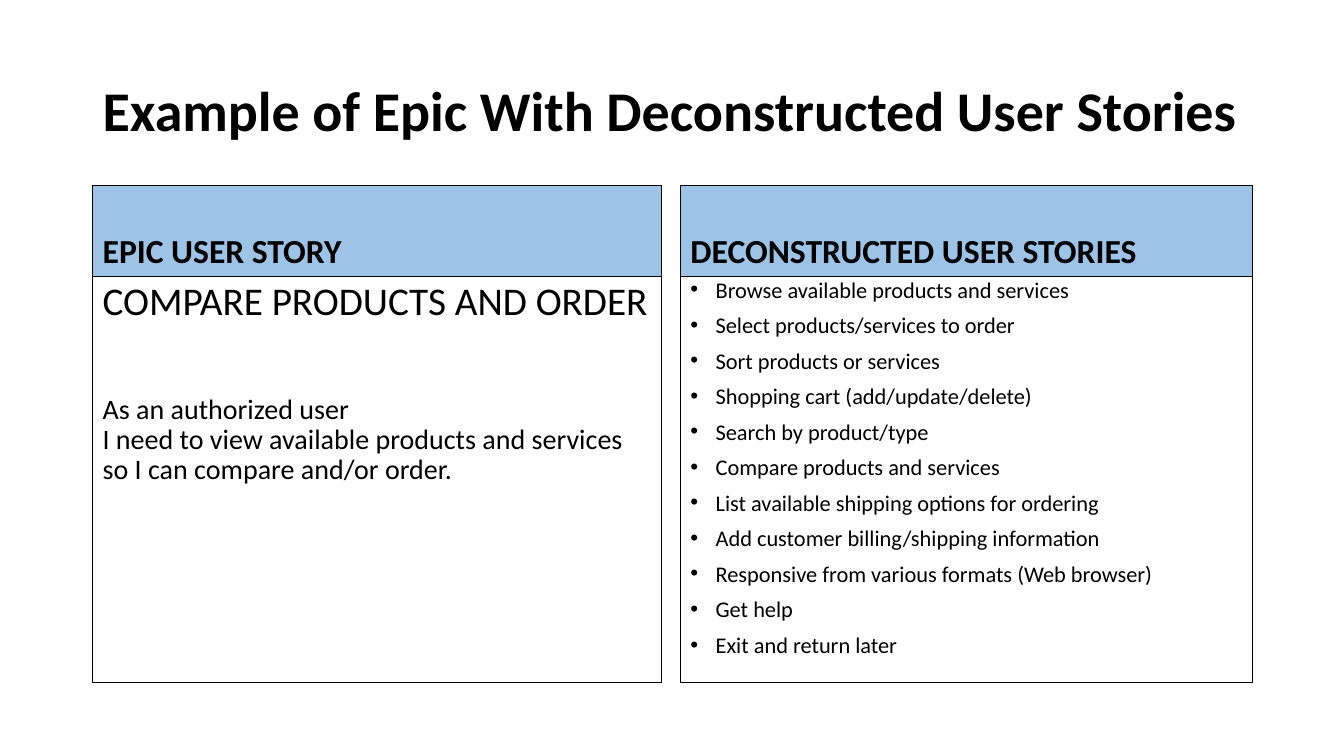
from pptx import Presentation
from pptx.dml.color import RGBColor
from pptx.enum.shapes import MSO_SHAPE as SHAPE
from pptx.enum.text import MSO_ANCHOR as ANCHOR, PP_ALIGN as ALIGN
from pptx.oxml.xmlchemy import OxmlElement
from pptx.util import Inches, Pt

FONT = "Calibri"
BLACK = "000000"
HEADER_BLUE = "9DC3E6"
TOP, HEADER_H, BODY_H = 1.84, 0.9, 4.03

EPIC = [
    ("COMPARE PRODUCTS AND ORDER", 28, 10),
    ("As an authorized user\n"
     "I need to view available products and services\n"
     "so I can compare and/or order.", 20, 51),
]
STORIES = [
    "Browse available products and services",
    "Select products/services to order",
    "Sort products or services",
    "Shopping cart (add/update/delete)",
    "Search by product/type",
    "Compare products and services",
    "List available shipping options for ordering",
    "Add customer billing/shipping information",
    "Responsive from various formats (Web browser)",
    "Get help",
    "Exit and return later",
]


def rgb(value):
    return RGBColor.from_string(value)


def add_bullet(p):
    pPr = p._p.get_or_add_pPr()
    pPr.set("marL", str(Inches(0.25)))
    pPr.set("indent", str(-Inches(0.25)))
    font = OxmlElement("a:buFont")
    font.set("typeface", "Arial")
    char = OxmlElement("a:buChar")
    char.set("char", "•")
    pPr.extend([font, char])


def write(tf, paragraphs, anchor, bold=False, spacing=0.9, bullets=False):
    tf.word_wrap = True
    tf.vertical_anchor = anchor
    for i, (text, size, before) in enumerate(paragraphs):
        p = tf.add_paragraph() if i else tf.paragraphs[0]
        p.text = text
        p.alignment = ALIGN.LEFT
        p.line_spacing = spacing
        p.space_before = Pt(before)
        if bullets:
            add_bullet(p)
        for r in p.runs:
            r.font.name = FONT
            r.font.size = Pt(size)
            r.font.bold = bold
            r.font.color.rgb = rgb(BLACK)


def add_title(s, left, top, width, height, text):
    sp = s.shapes.add_textbox(*map(Inches, (left, top, width, height)))
    write(sp.text_frame, [(text, 40, 0)], ANCHOR.MIDDLE, bold=True)


def add_panel(s, left, top, width, height, fill=None):
    sp = s.shapes.add_shape(SHAPE.RECTANGLE, *map(Inches, (left, top, width, height)))
    sp.shadow.inherit = False
    if fill:
        sp.fill.solid()
        sp.fill.fore_color.rgb = rgb(fill)
    else:
        sp.fill.background()
    sp.line.color.rgb = rgb(BLACK)
    sp.line.width = Pt(0.75)
    return sp.text_frame


def add_column(s, left, width, heading, paragraphs, **style):
    header = add_panel(s, left, TOP, width, HEADER_H, HEADER_BLUE)
    write(header, [(heading, 24, 10)], ANCHOR.BOTTOM, bold=True)
    body = add_panel(s, left, TOP + HEADER_H, width, BODY_H)
    write(body, paragraphs, ANCHOR.TOP, **style)


def main():
    prs = Presentation()
    prs.slide_width, prs.slide_height = Inches(13.33), Inches(7.5)
    s = prs.slides.add_slide(prs.slide_layouts[6])
    add_title(s, 0.92, 0.4, 11.5, 1.45, "Example of Epic With Deconstructed User Stories")
    add_column(s, 0.92, 5.64, "EPIC USER STORY", EPIC)
    add_column(s, 6.75, 5.67, "DECONSTRUCTED USER STORIES",
               [(story, 16, 10) for story in STORIES], spacing=0.8, bullets=True)
    prs.save("out.pptx")


if __name__ == "__main__":
    main()
